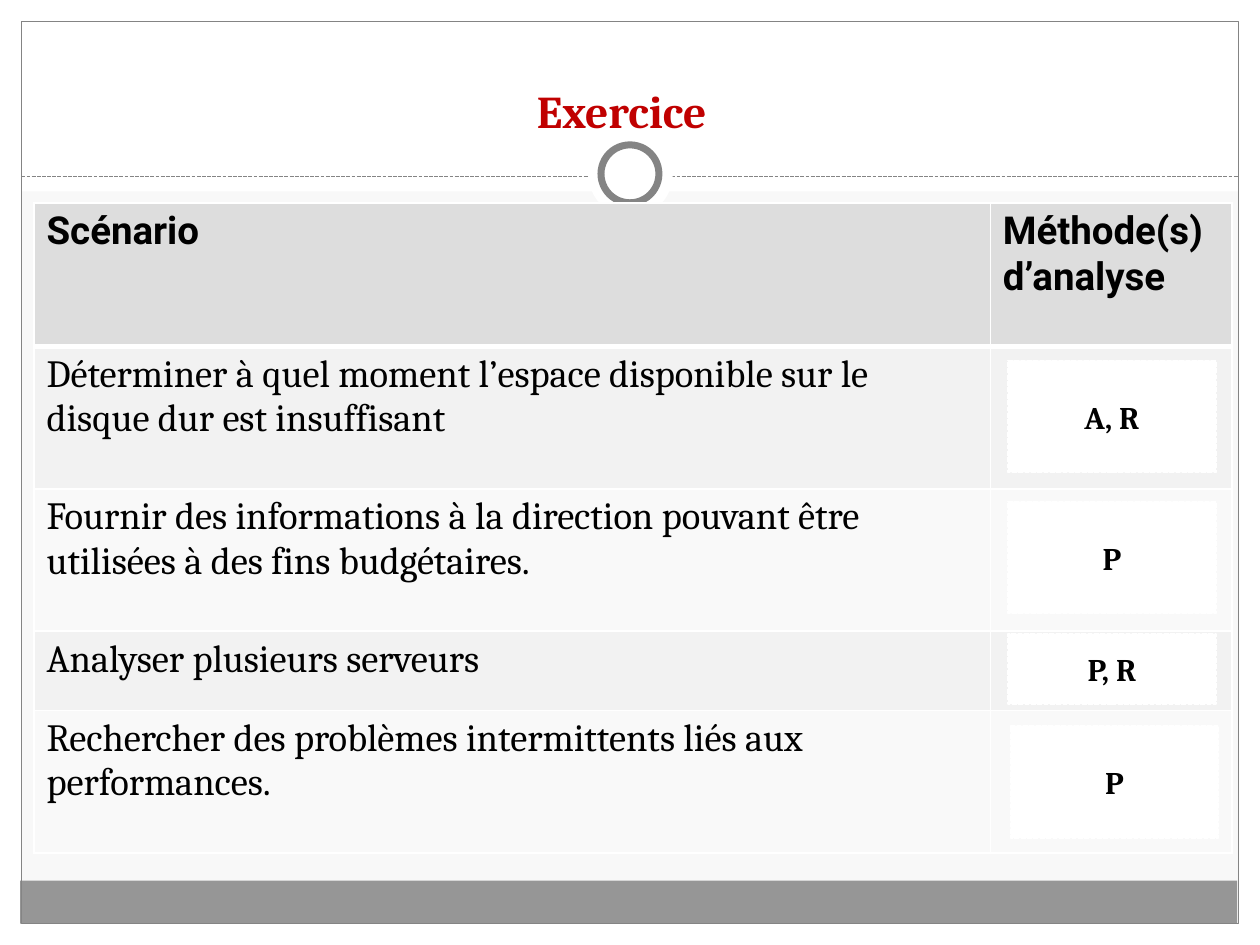
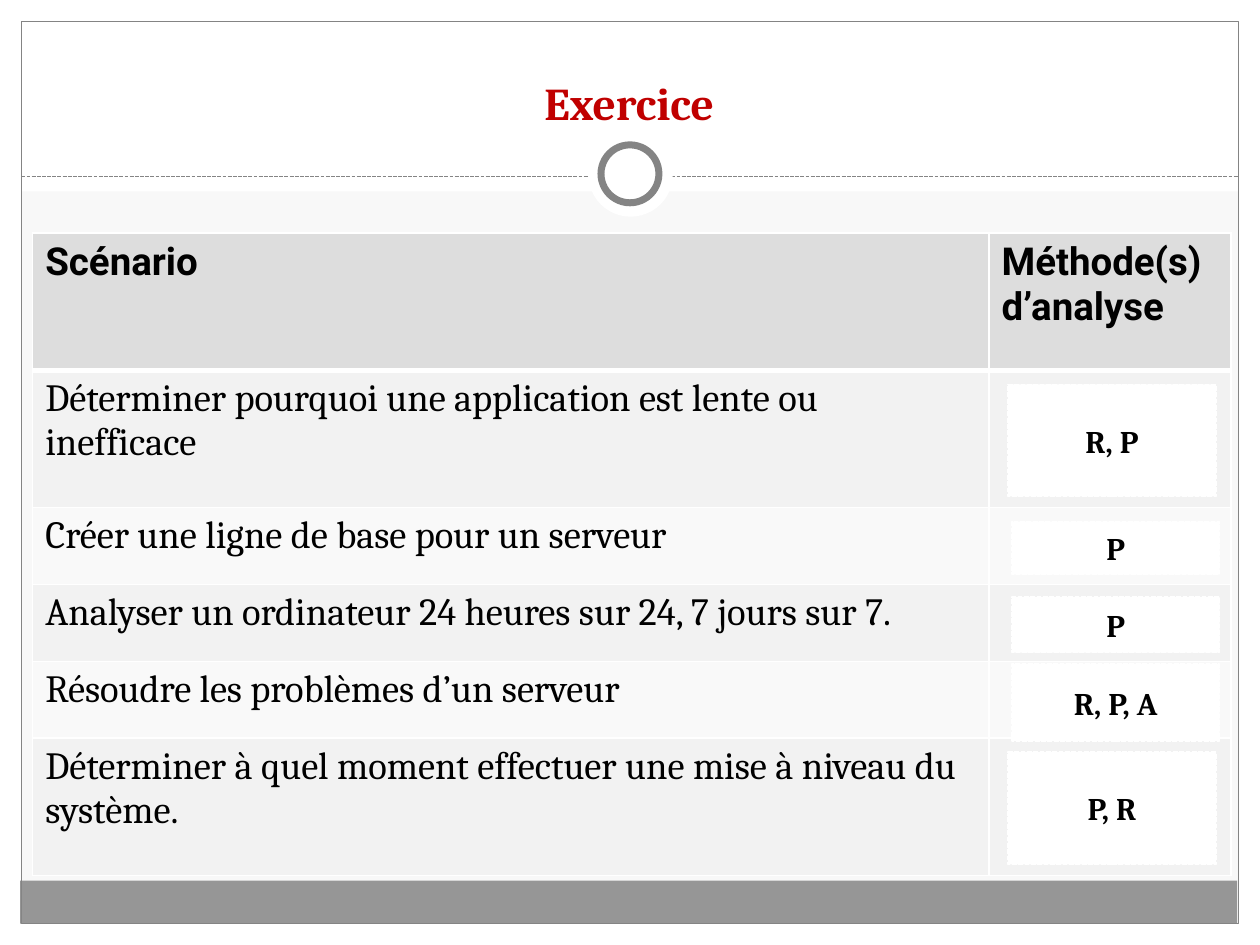
from dataclasses import dataclass

from lxml import etree
from pptx import Presentation
from pptx.dml.color import RGBColor
from pptx.enum import dml, shapes, text
from pptx.oxml import ns
from pptx.util import Inches, Pt

HEADINGS = ("Scénario", "Méthode(s) d’analyse")

# Rows: scenario, row height. Answers: text, left, top, height.
EXERCISES = [
    {
        "title": "Exercice ",
        "title_at": (0.31, 0.24),
        "table_at": (0.27, 1.61),
        "header_height": 1.14,
        "rows": [
            ("Déterminer à quel moment l’espace disponible sur le disque dur est insuffisant", 1.13),
            ("Fournir des informations à la direction pouvant être utilisées à des fins budgétaires.", 1.13),
            ("Analyser plusieurs serveurs", 0.63),
            ("Rechercher des problèmes intermittents liés aux performances.", 1.13),
        ],
        "answers": [
            ("A, R", 8, 2.86, 0.89),
            ("P", 8, 3.98, 0.89),
            ("P, R", 8, 5.03, 0.56),
            ("P", 8.02, 5.76, 0.89),
        ],
    },
    {
        "title": "Exercice",
        "title_at": (0.33, 0.18),
        "table_at": (0.26, 1.85),
        "header_height": 1.09,
        "rows": [
            ("Déterminer pourquoi une application est lente ou inefficace", 1.09),
            ("Créer une ligne de base pour un serveur", 0.61),
            ("Analyser un ordinateur 24 heures sur 24, 7 jours sur 7.", 0.61),
            ("Résoudre les problèmes d’un serveur", 0.61),
            ("Déterminer à quel moment effectuer une mise à niveau du système.", 1.09),
        ],
        "answers": [
            ("R, P", 8, 3.05, 0.89),
            ("P", 8.03, 4.14, 0.42),
            ("P", 8.03, 4.74, 0.44),
            ("R, P, A", 8.03, 5.27, 0.61),
            ("P, R", 8, 5.97, 0.89),
        ],
    },
]

COLUMN_WIDTHS = (7.59, 1.92)
ANSWER_WIDTH = 1.65
TITLE_SIZE = (9.33, 0.9)


@dataclass(frozen=True)
class Theme:
    background: str = "F8F8F8"
    white: str = "FFFFFF"
    frame: str = "848484"
    footer: str = "969696"
    title: str = "C00000"
    ink: str = "000000"
    header: str = "DDDDDD"
    stripes: tuple = ("F2F2F2", "F9F9F9")
    serif: str = "Cambria"
    sans: str = "Roboto"
    title_size: int = 26
    table_size: int = 22
    answer_size: int = 18


THEME = Theme()
RECT, OVAL = shapes.MSO_SHAPE.RECTANGLE, shapes.MSO_SHAPE.OVAL
SYS_DASH = dml.MSO_LINE.SQUARE_DOT

# Frame parts: shape, position and size, fill, outline colour, outline width.
FRAME = [
    (RECT, (0, 7.33, 10, 0.17), THEME.white, None, 0),
    (RECT, (0, 0, 10, 1.52), THEME.white, None, 0),
    (RECT, (0, 0, 0.17, 7.5), THEME.white, None, 0),
    (RECT, (9.83, 0, 0.17, 7.5), THEME.white, None, 0),
    (RECT, (0.16, 6.99, 9.66, 0.34), THEME.footer, None, 0),
    (RECT, (0.17, 0.17, 9.66, 7.16), None, THEME.frame, 0.75),
]
RING = [
    (OVAL, (4.67, 1.05, 0.67, 0.67), THEME.white, None, 0),
    (OVAL, (4.77, 1.15, 0.46, 0.46), THEME.white, THEME.frame, 4),
]


def paint(fill, color):
    if color is None:
        fill.background()
    else:
        fill.solid()
        fill.fore_color.rgb = RGBColor.from_string(color)


def set_font(para, name, size, color, bold):
    font = para.font
    font.name, font.size, font.bold = name, Pt(size), bold
    font.color.rgb = RGBColor.from_string(color)


def add_part(page, kind, area, fill, outline, width):
    part = page.shapes.add_shape(kind, *map(Inches, area))
    part.shadow.inherit = False
    paint(part.fill, fill)
    paint(part.line.fill, outline)
    if outline:
        part.line.width = Pt(width)
    return part


def add_divider(page):
    divider = page.shapes.add_connector(
        shapes.MSO_CONNECTOR.STRAIGHT, *map(Inches, (0.17, 1.4, 9.83, 1.4)))
    paint(divider.line.fill, THEME.frame)
    divider.line.width = Pt(0.75)
    divider.line.dash_style = SYS_DASH
    etree.SubElement(divider.element.spPr, ns.qn("a:effectLst"))
    return divider


def decorate_layout(layout, page):
    """Draw the shared frame on a page, then move it behind the layout's title."""
    paint(layout.background.fill, THEME.background)
    for holder in list(layout.placeholders):
        if holder.placeholder_format.type != shapes.PP_PLACEHOLDER.TITLE:
            holder.element.getparent().remove(holder.element)
    parts = [add_part(page, *part) for part in FRAME]
    parts.append(add_divider(page))
    parts += [add_part(page, *part) for part in RING]
    title = layout.placeholders[0].element
    for part in parts:
        title.addprevious(part.element)


def set_borders(cell, top, bottom):
    properties = cell._tc.get_or_add_tcPr()
    widths = {"lnL": 1, "lnR": 1, "lnT": top, "lnB": bottom}
    for index, (side, width) in enumerate(widths.items()):
        line = etree.Element(ns.qn(f"a:{side}"), w=str(Pt(width)))
        fill = etree.SubElement(line, ns.qn("a:solidFill"))
        etree.SubElement(fill, ns.qn("a:srgbClr"), val=THEME.white)
        properties.insert(index, line)


def add_title(page, exercise):
    title = page.shapes.title
    title.left, title.top = map(Inches, exercise["title_at"])
    title.width, title.height = map(Inches, TITLE_SIZE)
    frame = title.text_frame
    frame.text = exercise["title"]
    frame.vertical_anchor = text.MSO_ANCHOR.BOTTOM
    para = frame.paragraphs[0]
    para.alignment = text.PP_ALIGN.CENTER
    set_font(para, THEME.serif, THEME.title_size, THEME.title, True)


def add_scenarios(page, exercise):
    rows = exercise["rows"]
    heights = [exercise["header_height"]] + [height for _, height in rows]
    texts = [HEADINGS] + [(scenario, "") for scenario, _ in rows]
    size = sum(COLUMN_WIDTHS), sum(heights)
    table = page.shapes.add_table(
        len(texts), len(HEADINGS), *map(Inches, exercise["table_at"] + size)).table
    for column, width in zip(table.columns, COLUMN_WIDTHS):
        column.width = Inches(width)
    for r, (height, row_texts) in enumerate(zip(heights, texts)):
        table.rows[r].height = Inches(height)
        is_header = r == 0
        for c, words in enumerate(row_texts):
            cell = table.cell(r, c)
            cell.text = words
            paint(cell.fill, THEME.header if is_header else THEME.stripes[(r - 1) % 2])
            set_borders(cell, top=3 if r == 1 else 1, bottom=3 if is_header else 1)
            para = cell.text_frame.paragraphs[0]
            para.alignment = text.PP_ALIGN.LEFT
            set_font(para, THEME.sans if is_header else THEME.serif,
                     THEME.table_size, THEME.ink, is_header)


def add_answer(page, words, left, top, height):
    box = add_part(page, RECT, (left, top, ANSWER_WIDTH, height),
                   THEME.white, THEME.white, 0.9)
    box.line.dash_style = SYS_DASH
    frame = box.text_frame
    frame.text = words
    frame.vertical_anchor = text.MSO_ANCHOR.MIDDLE
    para = frame.paragraphs[0]
    para.alignment = text.PP_ALIGN.CENTER
    set_font(para, THEME.serif, THEME.answer_size, THEME.ink, True)


def main():
    deck = Presentation()
    deck.slide_width, deck.slide_height = Inches(10), Inches(7.5)
    layout = deck.slide_layouts.get_by_name("Title Only")
    pages = [deck.slides.add_slide(layout) for _ in EXERCISES]
    decorate_layout(layout, pages[0])
    for page, exercise in zip(pages, EXERCISES):
        add_title(page, exercise)
        add_scenarios(page, exercise)
        for answer in exercise["answers"]:
            add_answer(page, *answer)
    deck.save("out.pptx")


if __name__ == "__main__":
    main()
